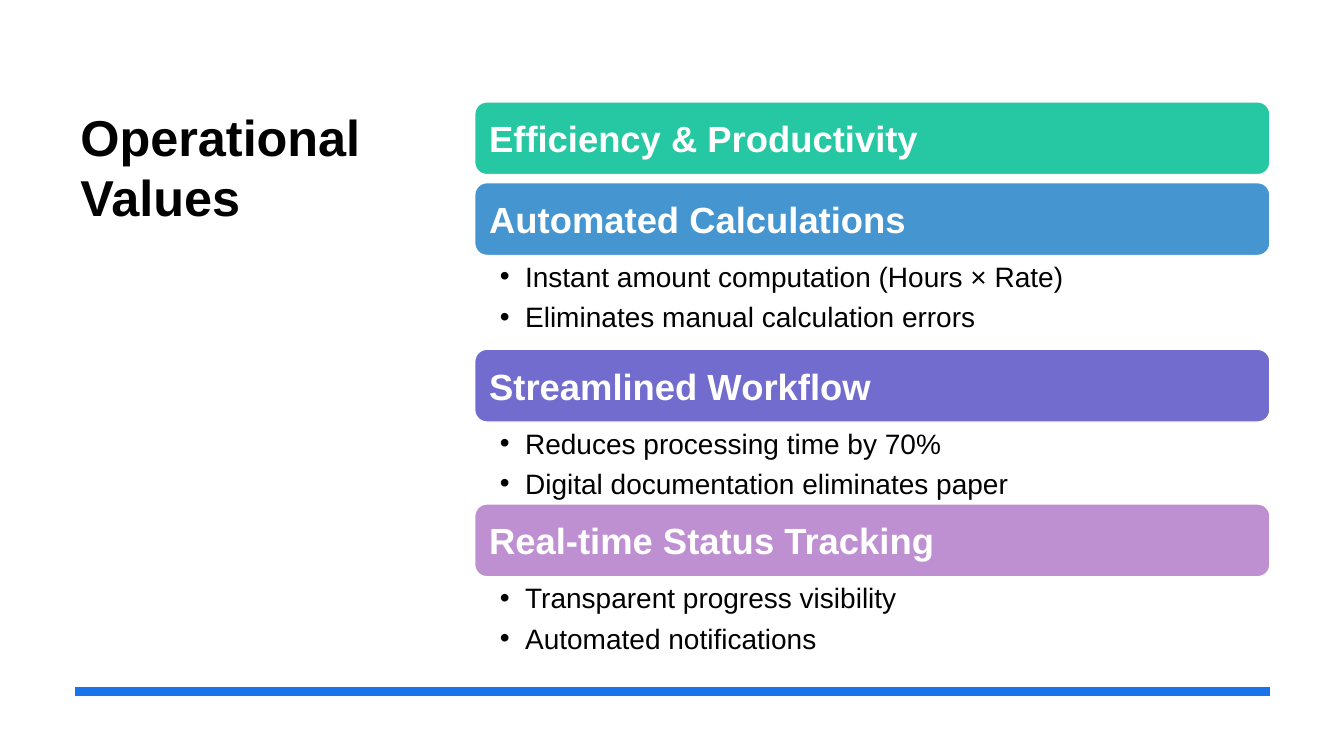
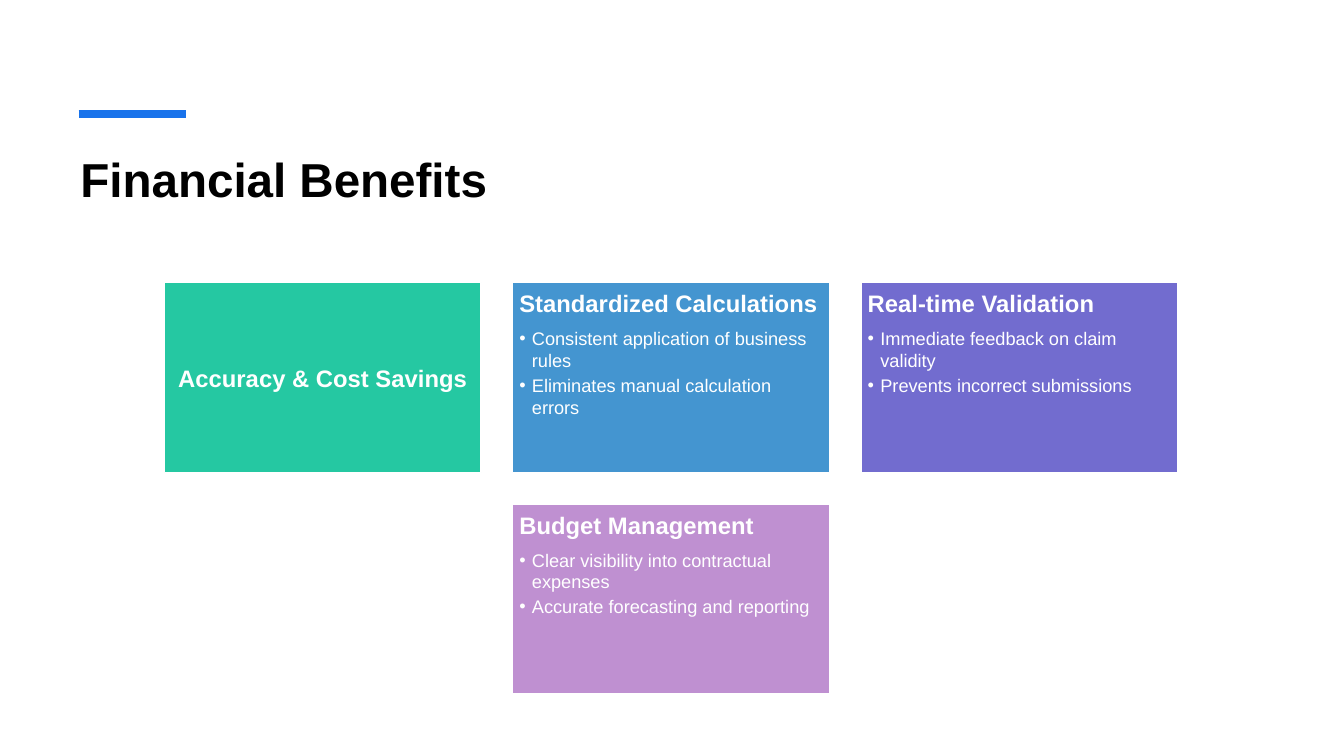
from dataclasses import dataclass

from lxml import etree
from pptx import Presentation
from pptx.dml.color import RGBColor
from pptx.enum.shapes import MSO_CONNECTOR as Connector, MSO_SHAPE as Preset
from pptx.enum.text import MSO_ANCHOR as Anchor, PP_ALIGN as Align
from pptx.oxml.ns import qn
from pptx.util import Pt

# Shared style
FONT = "Arial"
BLACK, WHITE, BLUE = "000000", "FFFFFF", "1973EB"
PALETTE = ("25C8A2", "4495D0", "726CCF", "BF90D1")
MARGIN = 50.4


@dataclass
class Box:
    left: float
    top: float
    width: float
    height: float

    def points(self):
        return Pt(self.left), Pt(self.top), Pt(self.width), Pt(self.height)


def color(hex_text):
    return RGBColor.from_string(hex_text)


def add_bullet(para, indent):
    properties = para._p.get_or_add_pPr()
    properties.set("marL", str(Pt(indent)))
    properties.set("indent", str(-Pt(indent)))
    etree.SubElement(properties, qn("a:buFont")).set("typeface", FONT)
    etree.SubElement(properties, qn("a:buChar")).set("char", "•")


def write(frame, text, size, ink=BLACK, bold=False, align=Align.LEFT,
          after=0, spacing=None, indent=0):
    """Fill the first paragraph if it is empty, otherwise append one."""
    para = frame.paragraphs[0]
    if para.runs:
        para = frame.add_paragraph()
    para.alignment = align
    para.space_before, para.space_after = Pt(0), Pt(after)
    if spacing:
        para.line_spacing = spacing
    if indent:
        add_bullet(para, indent)
    span = para.add_run()
    span.text = text
    span.font.name, span.font.size, span.font.bold = FONT, Pt(size), bold
    span.font.color.rgb = color(ink)


def set_frame(shape, insets, anchor=Anchor.TOP):
    frame = shape.text_frame
    frame.word_wrap = True
    frame.vertical_anchor = anchor
    (frame.margin_left, frame.margin_top,
     frame.margin_right, frame.margin_bottom) = map(Pt, insets)
    return frame


def add_text_box(page, box, insets):
    return set_frame(page.shapes.add_textbox(*box.points()), insets)


def add_panel(page, preset, box, fill, inset, anchor):
    panel = page.shapes.add_shape(preset, *box.points())
    panel.shadow.inherit = False
    panel.fill.solid()
    panel.fill.fore_color.rgb = color(fill)
    panel.line.color.rgb = color(WHITE)
    panel.line.width = Pt(1)
    return set_frame(panel, (inset,) * 4, anchor)


def add_title(page, box, text, size, spacing=None):
    frame = add_text_box(page, box, (7.2, 3.6, 7.2, 3.6))
    write(frame, text, size, bold=True, spacing=spacing)


def add_rule(page, left, right, y):
    rule = page.shapes.add_connector(
        Connector.STRAIGHT, Pt(left), Pt(y), Pt(right), Pt(y))
    rule.line.color.rgb = color(BLUE)
    rule.line.width = Pt(6)
    etree.SubElement(rule._element.spPr, qn("a:effectLst"))


def add_bar_list(page, box, sections):
    """Stack coloured bars, each followed by its bullets."""
    bar_height, gap = 52, 5.7
    top = box.top
    for (heading, points, body_height), fill in zip(sections, PALETTE):
        bar = Box(box.left, top, box.width, bar_height)
        frame = add_panel(page, Preset.ROUNDED_RECTANGLE, bar, fill, 7.8,
                          Anchor.MIDDLE)
        write(frame, heading, 26, WHITE, bold=True)
        top += bar_height
        if not points:
            top += gap
            continue
        body = Box(box.left, top, box.width, body_height)
        frame = add_text_box(page, body, (18, 2.9, 14.2, 2.9))
        for point in points:
            write(frame, point, 20, after=4.8, indent=18)
        top += body_height


def add_card(page, box, fill, heading, points):
    anchor = Anchor.TOP if points else Anchor.MIDDLE
    align = Align.LEFT if points else Align.CENTER
    frame = add_panel(page, Preset.RECTANGLE, box, fill, 4.7, anchor)
    write(frame, heading, 17, WHITE, bold=True, align=align,
          after=6.8 if points else 0)
    for point in points:
        write(frame, point, 13, WHITE, after=2.2, indent=9)


def add_card_grid(page, box, cards, columns=3, gap=22.6):
    """Lay cards out in rows and centre a short last row."""
    rows = -(-len(cards) // columns)
    width = (box.width - gap * (columns - 1)) / columns
    height = (box.height - gap * (rows - 1)) / rows
    for index, ((heading, points), fill) in enumerate(zip(cards, PALETTE)):
        row, column = divmod(index, columns)
        in_row = min(columns, len(cards) - row * columns)
        offset = (columns - in_row) / 2 + column
        card = Box(box.left + offset * (width + gap),
                   box.top + row * (height + gap), width, height)
        add_card(page, card, fill, heading, points)


def build_values(page):
    add_title(page, Box(MARGIN, 72, 236, 327.6), "Operational Values", 36)
    add_rule(page, 53.3, 907.2, 493.9)
    add_bar_list(page, Box(339.1, 72.8, 568, 397.4), (
        ("Efficiency & Productivity", (), 0),
        ("Automated Calculations",
         ("Instant amount computation (Hours × Rate)",
          "Eliminates manual calculation errors"), 67),
        ("Streamlined Workflow",
         ("Reduces processing time by 70%",
          "Digital documentation eliminates paper"), 58.5),
        ("Real-time Status Tracking",
         ("Transparent progress visibility",
          "Automated notifications"), 58.5),
    ))


def build_benefits(page):
    add_title(page, Box(MARGIN, 108, 857.5, 86.4), "Financial Benefits", 34,
              spacing=0.9)
    add_rule(page, 56.2, 133.2, 81.4)
    add_card_grid(page, Box(117.4, 201.8, 724, 294), (
        ("Accuracy & Cost Savings", ()),
        ("Standardized Calculations",
         ("Consistent application of business rules",
          "Eliminates manual calculation errors")),
        ("Real-time Validation",
         ("Immediate feedback on claim validity",
          "Prevents incorrect submissions")),
        ("Budget Management",
         ("Clear visibility into contractual expenses",
          "Accurate forecasting and reporting")),
    ))


def main():
    deck = Presentation()
    deck.slide_width, deck.slide_height = Pt(960), Pt(540)
    for build in (build_values, build_benefits):
        build(deck.slides.add_slide(deck.slide_layouts[6]))
    deck.save("out.pptx")


if __name__ == "__main__":
    main()
